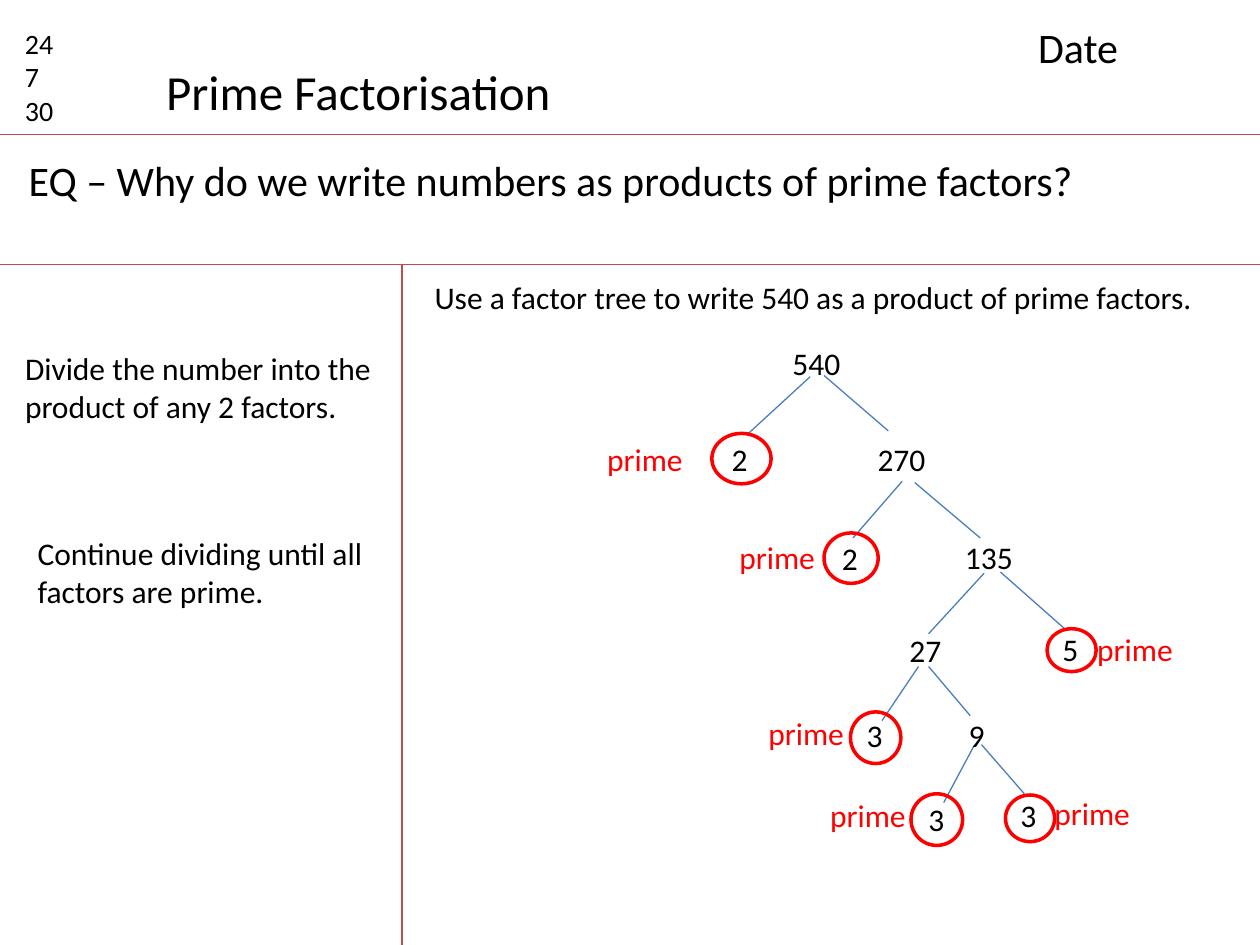
from lxml import etree
from pptx import Presentation
from pptx.dml.color import RGBColor
from pptx.enum.shapes import MSO_CONNECTOR, MSO_SHAPE
from pptx.enum.text import MSO_AUTO_SIZE, PP_ALIGN
from pptx.oxml.ns import qn
from pptx.util import Inches, Pt

STRAIGHT = MSO_CONNECTOR.STRAIGHT
OVAL = MSO_SHAPE.OVAL
GROW = MSO_AUTO_SIZE.SHAPE_TO_FIT_TEXT
LEFT, CENTER = PP_ALIGN.LEFT, PP_ALIGN.CENTER
color = RGBColor.from_string
BLACK, RED, RULE, BRANCH = "000000", "FF0000", "BF4C48", "4B7EBC"

prs = Presentation()
prs.slide_width, prs.slide_height = Inches(10), Inches(7.5)
s = prs.slides.add_slide(prs.slide_layouts[6])


def add_text(text, x, y, w, h=0.4, size=18, ink=BLACK, align=LEFT, wrap=True):
    tf = s.shapes.add_textbox(Inches(x), Inches(y), Inches(w), Inches(h)).text_frame
    tf.word_wrap = wrap
    tf.auto_size = GROW
    tf.text = text
    for p in tf.paragraphs:
        p.alignment = align
        p.font.name = "Calibri"
        p.font.size = Pt(size)
        p.font.color.rgb = color(ink)


def add_line(x1, y1, x2, y2, ink):
    c = s.shapes.add_connector(STRAIGHT, Inches(x1), Inches(y1), Inches(x2), Inches(y2))
    c.line.color.rgb = color(ink)
    c.line.width = Pt(0.75)
    etree.SubElement(c._element.spPr, qn("a:effectLst"))


for ends in [(0, 1.07, 10, 1.07), (0, 2.1, 10, 2.1), (3.19, 2.1, 3.19, 7.69)]:
    add_line(*ends, RULE)

add_text("24\n7\n30", 0.1, 0.16, 0.63, 0.91, size=16)
add_text("Prime Factorisation", 1.22, 0.44, 3.29, 0.57, size=28, wrap=False)
add_text("Date", 8.14, 0.12, 1.73, 0.5, size=24)
add_text("EQ – Why do we write numbers as products of prime factors?", 0.13, 1.18, 9.43, 0.5, size=24)
add_text("Use a factor tree to write 540 as a product of prime factors.", 3.35, 2.16, 6.38)
add_text("Divide the number into the product of any 2 factors.", 0.1, 2.72, 3.01, 0.71)
add_text("Continue dividing until all factors are prime.", 0.2, 4.19, 2.83, 0.71)

branches = [
    (6.43, 2.99, 5.94, 3.44), (6.54, 2.98, 7.05, 3.42),
    (7.16, 3.82, 6.77, 4.27), (7.26, 3.83, 7.78, 4.27),
    (7.81, 4.55, 7.37, 5.03), (7.94, 4.54, 8.45, 4.99),
    (7.29, 5.29, 7, 5.72), (7.37, 5.29, 7.7, 5.68),
    (7.73, 5.92, 7.49, 6.37), (7.79, 5.91, 8.13, 6.3),
]
for ends in branches:
    add_line(*ends, BRANCH)

factors = [
    ("540", 3.45, 2.68, 6.06, CENTER),
    ("2", 5.55, 3.44, 0.64, CENTER), ("270", 6.79, 3.44, 0.73, CENTER),
    ("2", 6.49, 4.23, 0.51, CENTER), ("135", 7.56, 4.22, 0.63, LEFT),
    ("27", 6.98, 4.96, 0.73, CENTER), ("5", 8.22, 4.95, 0.55, CENTER),
    ("3", 6.78, 5.63, 0.42, LEFT), ("9", 7.59, 5.63, 0.53, LEFT),
    ("3", 7.27, 6.3, 0.36, LEFT), ("3", 8, 6.27, 0.51, LEFT),
]
for number, x, y, w, align in factors:
    add_text(number, x, y, w, align=align)

for x, y in [(4.72, 3.44), (5.77, 4.22), (8.61, 4.95), (6, 5.62), (6.49, 6.27), (8.27, 6.25)]:
    add_text("prime", x, y, 0.89, ink=RED)

rings = [
    (5.65, 3.44, 0.47, 0.4), (6.54, 4.23, 0.43, 0.4), (8.31, 4.99, 0.39, 0.34),
    (6.75, 5.65, 0.4, 0.41), (7.23, 6.3, 0.41, 0.41), (7.98, 6.31, 0.39, 0.37),
]
for box in rings:
    sp = s.shapes.add_shape(OVAL, *map(Inches, box))
    sp.shadow.inherit = False
    sp.fill.background()
    sp.line.color.rgb = color(RED)
    sp.line.width = Pt(2)

prs.save("out.pptx")
